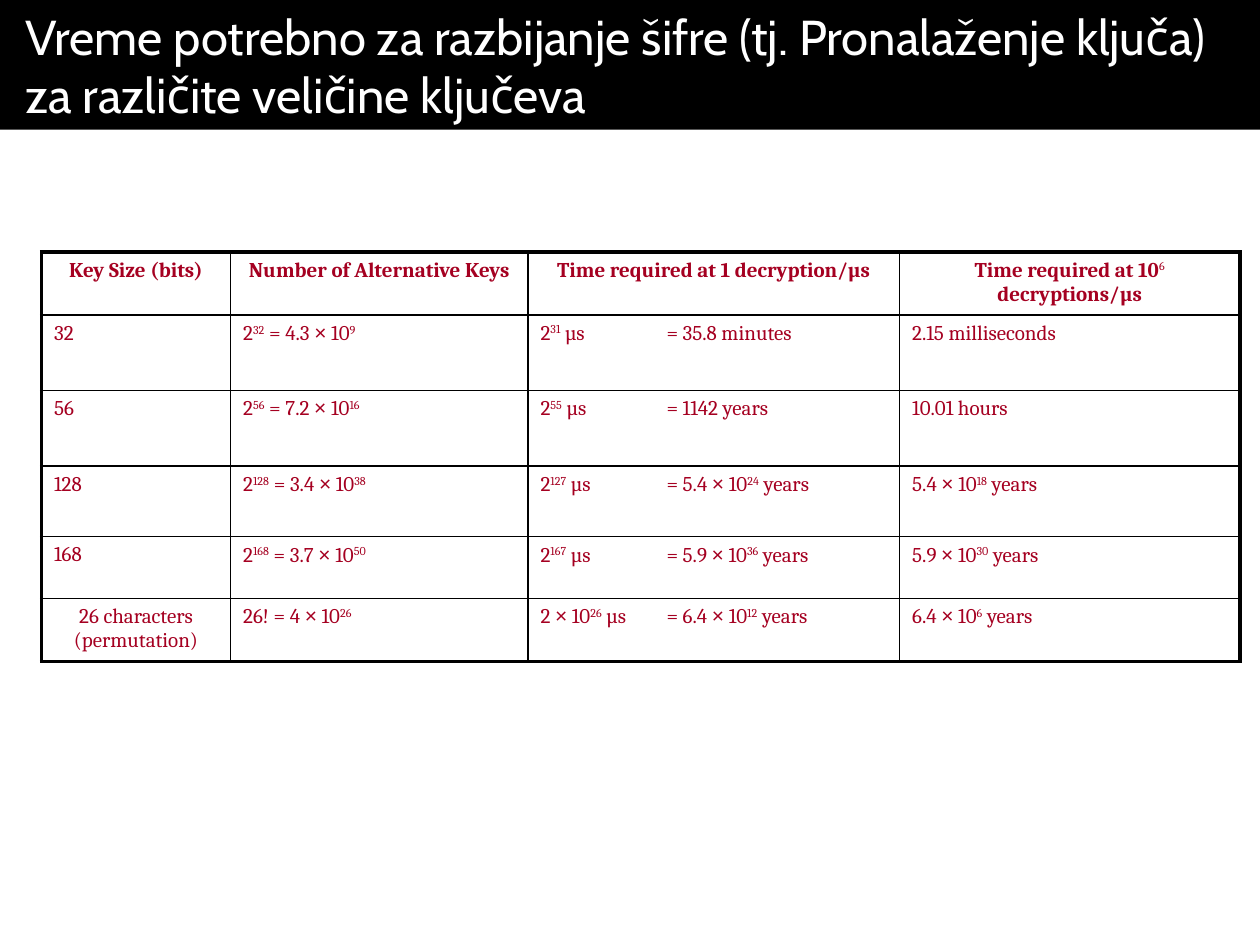
"""Builds a slide with a table of the time needed to break cipher keys."""
from dataclasses import dataclass

from lxml import etree
from pptx import Presentation
from pptx import util as u
from pptx.dml.color import RGBColor
from pptx.enum import shapes, text
from pptx.oxml.ns import qn


@dataclass(frozen=True)
class Theme:
    dark: str = "000000"
    light: str = "FFFFFF"
    red: str = "A50021"
    head: str = "Cabin"
    body: str = "Cambria"
    sign: str = "Arial"
    big: float = 28
    small: float = 12
    thick: float = 2.25
    thin: float = 1


class Deck:
    def __init__(self, theme):
        self.theme = theme
        self.prs = Presentation()
        self.prs.slide_width, self.prs.slide_height = u.Inches(10), u.Inches(7.5)
        self.slide = self.prs.slides.add_slide(self.prs.slide_layouts[6])

    def wide(self, share):
        return round(self.prs.slide_width * share)

    def high(self, share):
        return round(self.prs.slide_height * share)

    def style(self, para, name, size, color):
        font = para.font
        font.name, font.size = name, u.Pt(size)
        font.color.rgb = RGBColor.from_string(color)

    def title(self, words, height):
        look = self.theme
        bar = self.slide.shapes.add_shape(
            shapes.MSO_SHAPE.RECTANGLE, 0, 0, self.wide(1), self.high(height))
        bar.shadow.inherit = False
        bar.fill.solid()
        bar.fill.fore_color.rgb = RGBColor.from_string(look.dark)
        bar.line.fill.background()
        frame = bar.text_frame
        frame.word_wrap = True
        frame.vertical_anchor = text.MSO_ANCHOR.MIDDLE
        frame.margin_left = frame.margin_right = u.Inches(0.2)
        para = frame.paragraphs[0]
        para.text = words
        para.alignment = text.PP_ALIGN.LEFT
        self.style(para, look.head, look.big, look.light)

    def table(self, left, top, cols, rows, data):
        grid = self.slide.shapes.add_table(
            len(rows), len(cols), self.wide(left), self.high(top),
            self.wide(sum(cols)), self.high(sum(rows))).table
        grid.first_row = grid.horz_banding = False
        for col, share in zip(grid.columns, cols):
            col.width = self.wide(share)
        for row, share in zip(grid.rows, rows):
            row.height = self.high(share)
        for i, line in enumerate(data):
            for j, words in enumerate(line):
                cell = grid.cell(i, j)
                cell.fill.background()
                self.edge(cell, {"L": j == 0, "R": j == len(cols) - 1,
                                 "T": i == 0, "B": i == len(rows) - 1})
                mid = i == 0 or (i == len(rows) - 1 and j == 0)
                self.label(cell.text_frame.paragraphs[0], words, i == 0, mid)

    def edge(self, cell, outer):
        look = self.theme
        props = cell._tc.get_or_add_tcPr()
        for i, (side, rim) in enumerate(outer.items()):
            line = etree.Element(qn(f"a:ln{side}"))
            line.set("w", str(u.Pt(look.thick if rim else look.thin)))
            fill = etree.SubElement(line, qn("a:solidFill"))
            etree.SubElement(fill, qn("a:srgbClr")).set("val", look.dark)
            props.insert(i, line)

    def label(self, para, words, bold, mid):
        """Fill a paragraph, raising the parts set between carets."""
        look = self.theme
        para.alignment = text.PP_ALIGN.CENTER if mid else text.PP_ALIGN.LEFT
        para.space_before = para.space_after = u.Pt(3)
        if "\t" in words:
            tabs = etree.SubElement(para._p.get_or_add_pPr(), qn("a:tabLst"))
            stop = etree.SubElement(tabs, qn("a:tab"))
            stop.set("pos", str(u.Inches(1)))
            stop.set("algn", "l")
        self.style(para, look.body, look.small, look.red)
        para.font.bold = bold
        for i, part in enumerate(words.split("^")):
            for piece in part.replace("×", "|×|").split("|"):
                if not piece:
                    continue
                run = para.add_run()
                run.text = piece
                if piece == "×":
                    run.font.name = look.sign
                if i % 2:
                    run.font.bold = False
                    run._r.get_or_add_rPr().set("baseline", "30000")


DATA = [
    ("Key Size (bits)", "Number of Alternative Keys",
     "Time required at 1 decryption/µs", "Time required at 10^6^ decryptions/µs"),
    ("32", "2^32^ = 4.3 × 10^9^", "2^31^ µs\t= 35.8 minutes", "2.15 milliseconds"),
    ("56", "2^56^ = 7.2 × 10^16^", "2^55^ µs\t= 1142 years", "10.01 hours"),
    ("128", "2^128^ = 3.4 × 10^38^",
     "2^127^ µs\t= 5.4 × 10^24^ years", "5.4 × 10^18^ years"),
    ("168", "2^168^ = 3.7 × 10^50^",
     "2^167^ µs\t= 5.9 × 10^36^ years", "5.9 × 10^30^ years"),
    ("26 characters (permutation)", "26! = 4 × 10^26^",
     "2 × 10^26^ µs\t= 6.4 × 10^12^ years", "6.4 × 10^6^ years"),
]


def main():
    deck = Deck(Theme())
    deck.title("Vreme potrebno za razbijanje šifre (tj. Pronalaženje ključa) "
               "za različite veličine ključeva", 1.03 / 7.5)
    cols = [size / 10 for size in (1.5, 2.36, 2.95, 2.7)]
    rows = [size / 7.5 for size in (0.5, 0.6, 0.6, 0.56, 0.49, 0.5)]
    deck.table(0.33 / 10, 2 / 7.5, cols, rows, DATA)
    deck.prs.save("out.pptx")


if __name__ == "__main__":
    main()
